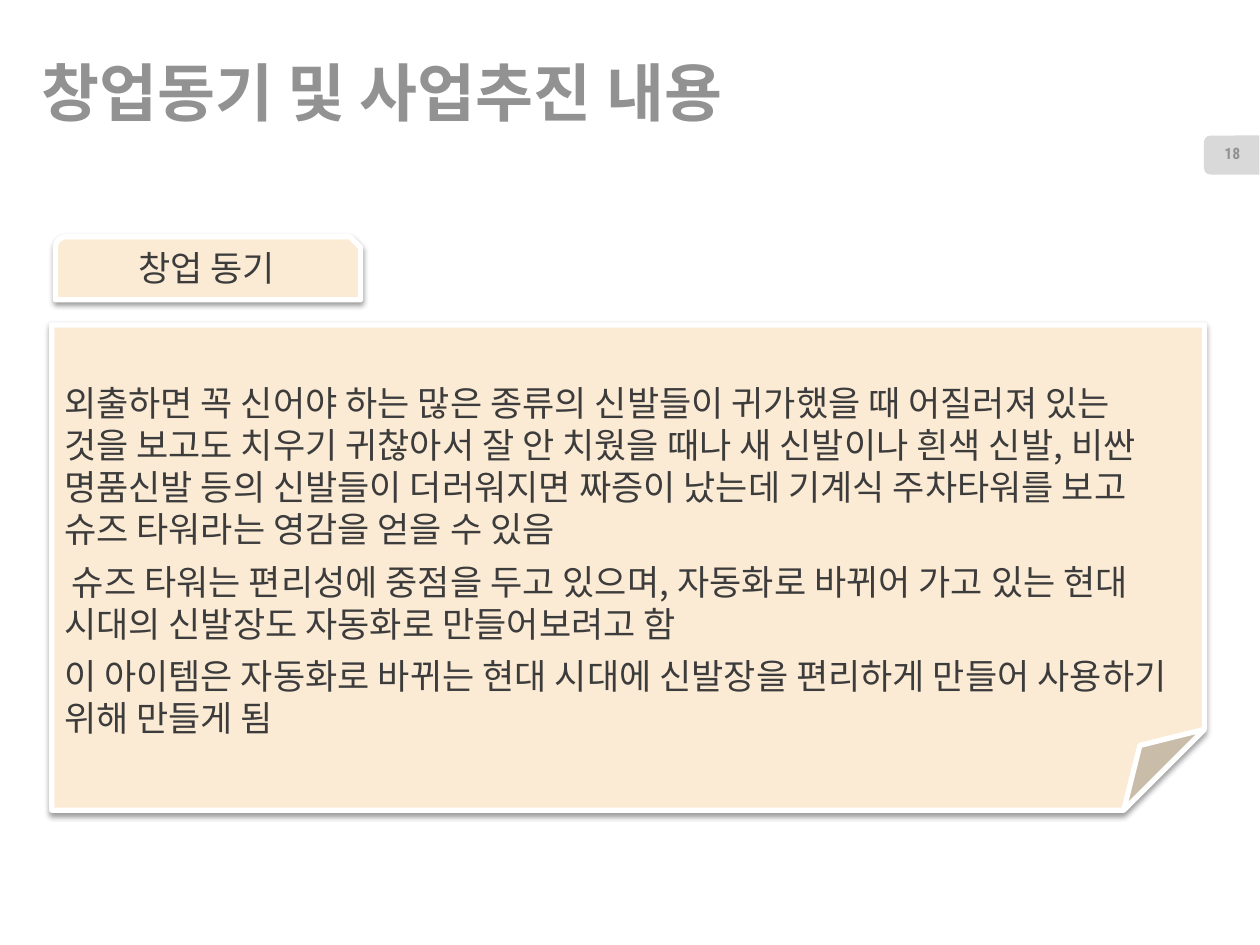
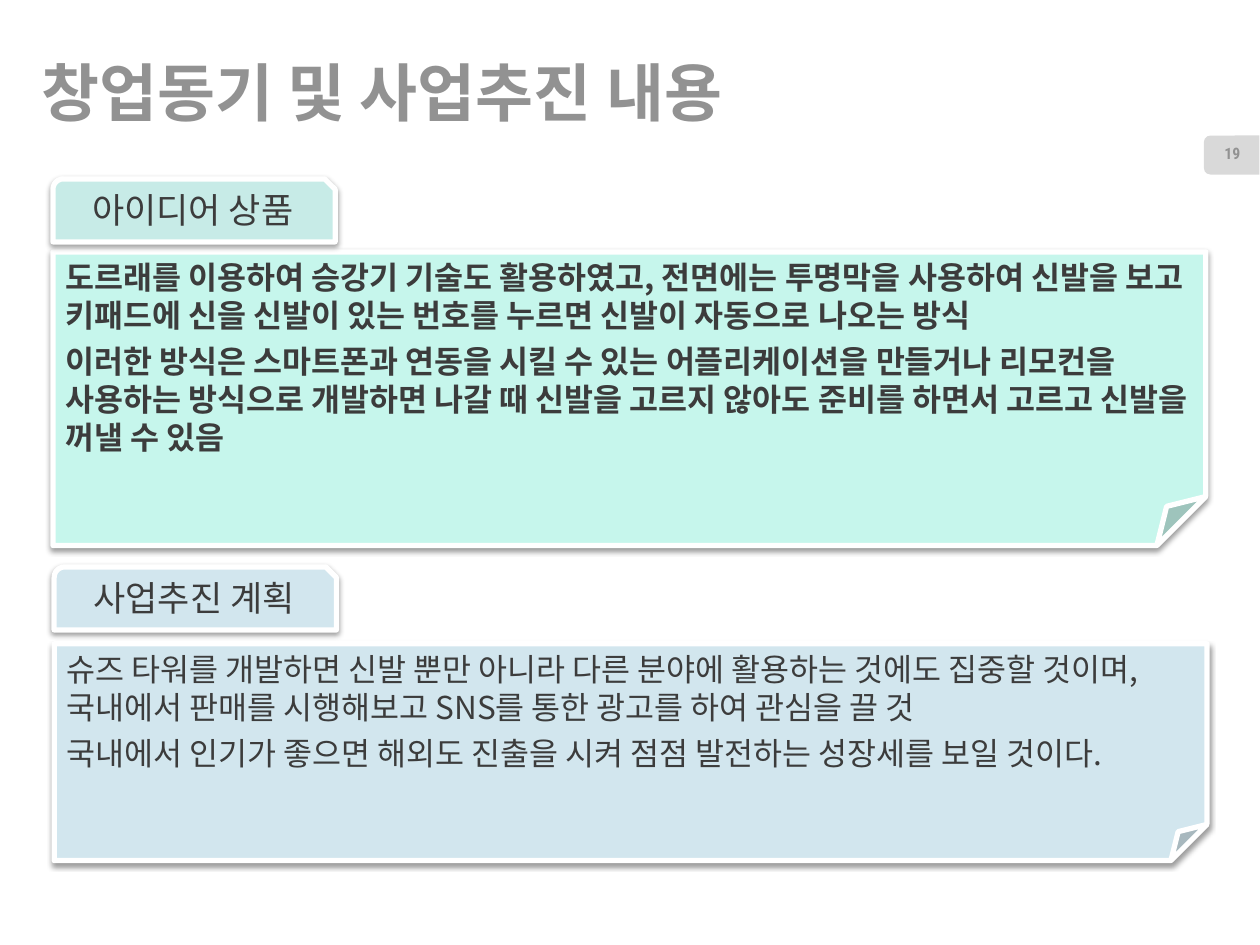
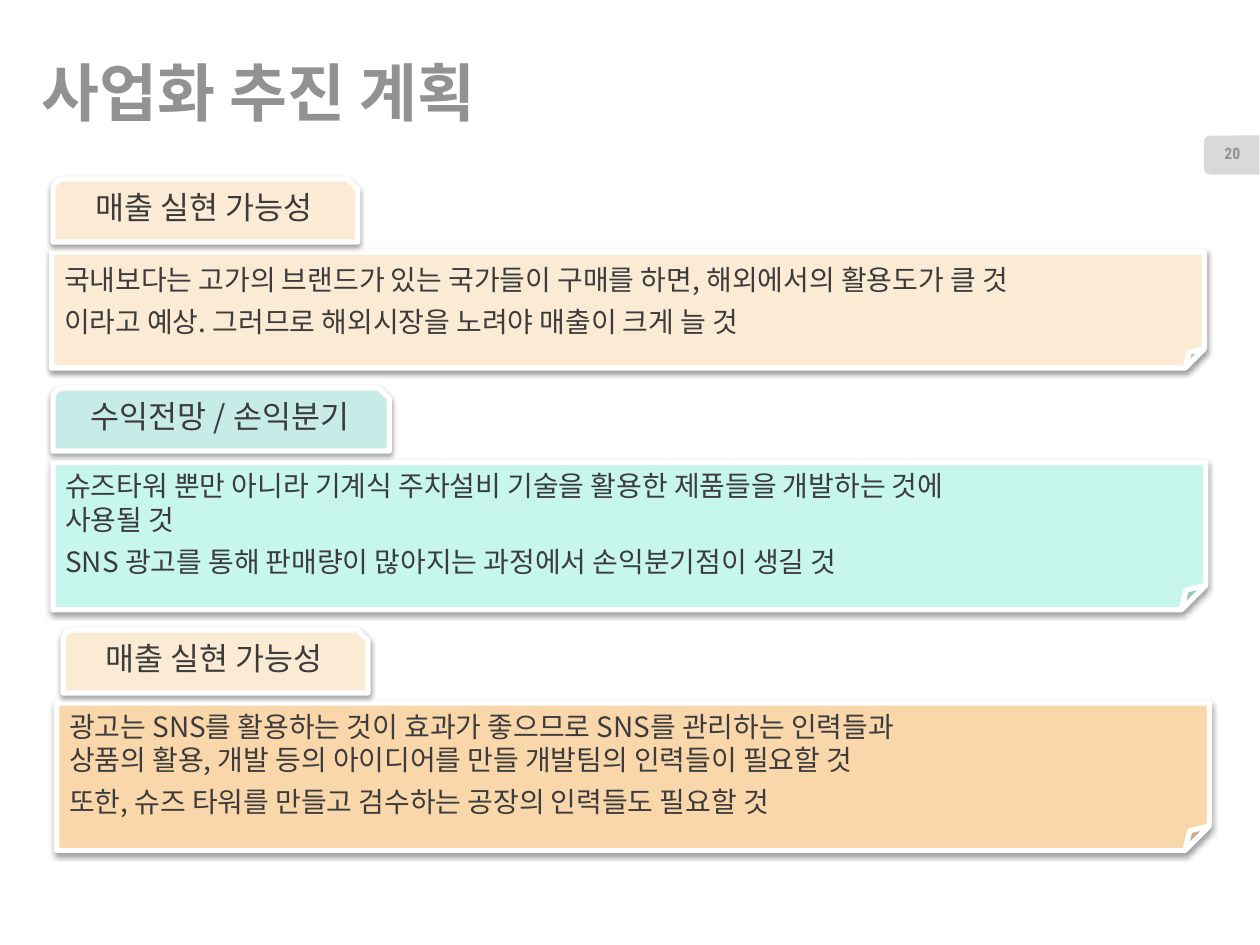
import pptx
import pptx.util
import pptx.dml.color
import pptx.enum.shapes
import pptx.enum.text
import pptx.oxml
import pptx.oxml.ns

Inches = pptx.util.Inches
Pt = pptx.util.Pt
RGBColor = pptx.dml.color.RGBColor
SHAPE = pptx.enum.shapes.MSO_SHAPE
ALIGN = pptx.enum.text.PP_ALIGN
ANCHOR = pptx.enum.text.MSO_ANCHOR

# Colours and fonts
WHITE = RGBColor(0xFF, 0xFF, 0xFF)
GREY = RGBColor(0x92, 0x92, 0x92)
SILVER = RGBColor(0xD9, 0xD9, 0xD9)
INK = RGBColor(0x3C, 0x3C, 0x3C)
CREAM = RGBColor(0xFC, 0xEB, 0xD4)
PEACH = RGBColor(0xF9, 0xD7, 0xAA)
MINT = RGBColor(0xC6, 0xF6, 0xEC)
TEAL = RGBColor(0xC7, 0xEB, 0xE7)
SKY = RGBColor(0xD2, 0xE6, 0xEE)
KOREAN = "Noto Sans CJK KR"
LATIN = "Roboto Condensed"

LEADING = 1.2
NOTE_WIDTH = 9.15
TAB_HEIGHT = 0.5
SHADOW = (
    '<a:effectLst %s><a:outerShdw blurRad="40000" dist="20000" dir="5400000" '
    'rotWithShape="0"><a:srgbClr val="000000"><a:alpha val="38000"/>'
    '</a:srgbClr></a:outerShdw></a:effectLst>' % pptx.oxml.ns.nsdecls("a"))


class Deck:
    """Holds the shared style and the current slide."""

    def __init__(self):
        self.prs = pptx.Presentation()
        self.prs.slide_width = Inches(10)
        self.prs.slide_height = Inches(7.5)
        self.slide = None

    def style(self, para, size, color=INK, bold=False, face=KOREAN):
        for run in para.runs:
            font = run.font
            font.size, font.bold, font.name = Pt(size), bold, face
            font.color.rgb = color
            east = pptx.oxml.parse_xml('<a:ea %s typeface="%s"/>' % (
                pptx.oxml.ns.nsdecls("a"), face))
            font._element.find(pptx.oxml.ns.qn("a:latin")).addnext(east)

    def page(self, title, number):
        self.slide = self.prs.slides.add_slide(self.prs.slide_layouts[5])
        self.title(title)
        self.number(number)

    def title(self, text):
        head = self.slide.shapes.title
        head.left, head.top = Inches(0.33), Inches(0.53)
        head.width, head.height = Inches(6.17), Inches(0.39)
        frame = head.text_frame
        frame.text = text
        frame.word_wrap = False
        frame.auto_size = pptx.enum.text.MSO_AUTO_SIZE.NONE
        frame.vertical_anchor = ANCHOR.MIDDLE
        frame.margin_left = frame.margin_right = 0
        frame.margin_top = frame.margin_bottom = 0
        para = frame.paragraphs[0]
        para.alignment = ALIGN.LEFT
        self.style(para, 36, GREY, True)

    def number(self, value):
        flag = self.slide.shapes.add_shape(
            SHAPE.ROUND_2_SAME_RECTANGLE,
            Inches(9.62), Inches(1.01), Inches(0.31), Inches(0.44))
        flag.rotation = 270
        flag.shadow.inherit = False
        flag.fill.solid()
        flag.fill.fore_color.rgb = SILVER
        flag.line.fill.background()
        box = self.slide.shapes.add_textbox(
            Inches(9.57), Inches(1.07), Inches(0.42), Inches(0.3))
        frame = box.text_frame
        frame.text = str(value)
        frame.word_wrap = True
        frame.vertical_anchor = ANCHOR.MIDDLE
        para = frame.paragraphs[0]
        para.alignment = ALIGN.CENTER
        self.style(para, 9, GREY, True, LATIN)

    def card(self, kind, left, top, width, height, fill):
        """Add a white-edged paper shape and return its text frame."""
        card = self.slide.shapes.add_shape(
            kind, Inches(left), Inches(top), Inches(width), Inches(height))
        card.fill.solid()
        card.fill.fore_color.rgb = fill
        card.line.color.rgb = WHITE
        card.line.width = Pt(3)
        card.line._ln.addnext(pptx.oxml.parse_xml(SHADOW))
        frame = card.text_frame
        frame.word_wrap = True
        frame.vertical_anchor = ANCHOR.TOP
        return frame

    def tab(self, text, left, top, width, fill, size=20):
        frame = self.card(SHAPE.SNIP_ROUND_RECTANGLE,
                          left, top, width, TAB_HEIGHT, fill)
        frame.text = text
        para = frame.paragraphs[0]
        para.alignment = ALIGN.CENTER
        para.line_spacing = Pt(size * LEADING)
        self.style(para, size)

    def note(self, groups, left, top, height, fill, size, gap=4.8,
             bold=False, inset=0.05):
        """Each group is a list of paragraphs; gap parts the groups."""
        frame = self.card(SHAPE.FOLDED_CORNER,
                          left, top, NOTE_WIDTH, height, fill)
        frame.margin_top = Inches(inset)
        frame.text = "\n".join(line for group in groups for line in group)
        paras = iter(frame.paragraphs)
        for order, group in enumerate(groups):
            for spot in range(len(group)):
                para = next(paras)
                para.alignment = ALIGN.LEFT
                para.line_spacing = Pt(size * LEADING)
                para.space_before = Pt(gap if order and not spot else 0)
                self.style(para, size, bold=bold)


def main():
    deck = Deck()

    # Motive
    deck.page("창업동기 및 사업추진 내용", 18)
    deck.tab("창업 동기", 0.44, 1.88, 2.42, CREAM)
    deck.note([
        ["외출하면 꼭 신어야 하는 많은 종류의 신발들이 귀가했을 때 어질러져 있는",
         "것을 보고도 치우기 귀찮아서 잘 안 치웠을 때나 새 신발이나 흰색 신발, "
         "비싼 명품신발 등의 신발들이 더러워지면 짜증이 났는데 기계식 주차타워를 "
         "보고 슈즈 타워라는 영감을 얻을 수 있음"],
        [" 슈즈 타워는 편리성에 중점을 두고 있으며, 자동화로 바뀌어 가고 있는 "
         "현대 시대의 신발장도 자동화로 만들어보려고 함"],
        ["이 아이템은 자동화로 바뀌는 현대 시대에 신발장을 편리하게 만들어 "
         "사용하기 위해 만들게 됨"],
    ], 0.41, 2.58, 3.85, CREAM, 20, gap=6, inset=0.45)

    # Idea and plan
    deck.page("창업동기 및 사업추진 내용", 19)
    deck.note([
        ["도르래를 이용하여 승강기 기술도 활용하였고, 전면에는 투명막을 사용하여 "
         "신발을 보고 키패드에 신을 신발이 있는 번호를 누르면 신발이 자동으로 "
         "나오는 방식"],
        ["이러한 방식은 스마트폰과 연동을 시킬 수 있는 어플리케이션을 만들거나 "
         "리모컨을 사용하는 방식으로 개발하면 나갈 때 신발을 고르지 않아도 준비를 "
         "하면서 고르고 신발을 꺼낼 수 있음"],
    ], 0.42, 2, 2.33, MINT, 18, bold=True)
    deck.tab("아이디어 상품", 0.42, 1.42, 2.24, TEAL)
    deck.note([
        ["슈즈 타워를 개발하면 신발 뿐만 아니라 다른 분야에 활용하는 것에도 집중할 "
         "것이며, 국내에서 판매를 시행해보고 SNS를 통한 광고를 하여 관심을 끌 것"],
        ["국내에서 인기가 좋으면 해외도 진출을 시켜 점점 발전하는 성장세를 보일 것이다."],
    ], 0.43, 5.11, 1.72, SKY, 18)
    deck.tab("사업추진 계획", 0.43, 4.5, 2.24, SKY)

    # Business outlook
    deck.page("사업화 추진 계획", 20)
    deck.note([
        ["국내보다는 고가의 브랜드가 있는 국가들이 구매를 하면, 해외에서의 활용도가 클 것"],
        ["이라고 예상. 그러므로 해외시장을 노려야 매출이 크게 늘 것"],
    ], 0.41, 2, 0.92, CREAM, 16, inset=0.08)
    deck.tab("매출 실현 가능성", 0.42, 1.42, 2.42, CREAM, 18)
    deck.note([
        ["슈즈타워 뿐만 아니라 기계식 주차설비 기술을 활용한 제품들을 개발하는 것에",
         "사용될 것"],
        ["SNS 광고를 통해 판매량이 많아지는 과정에서 손익분기점이 생길 것"],
    ], 0.42, 3.67, 1.17, MINT, 16)
    deck.tab("수익전망 / 손익분기", 0.42, 3.08, 2.67, TEAL, 18)
    deck.note([
        ["광고는 SNS를 활용하는 것이 효과가 좋으므로 SNS를 관리하는 인력들과",
         "상품의 활용, 개발 등의 아이디어를 만들 개발팀의 인력들이 필요할 것"],
        ["또한, 슈즈 타워를 만들고 검수하는 공장의 인력들도 필요할 것"],
    ], 0.45, 5.58, 1.17, PEACH, 16)
    deck.tab("매출 실현 가능성", 0.5, 5, 2.42, CREAM, 18)

    deck.prs.save("out.pptx")


if __name__ == "__main__":
    main()
